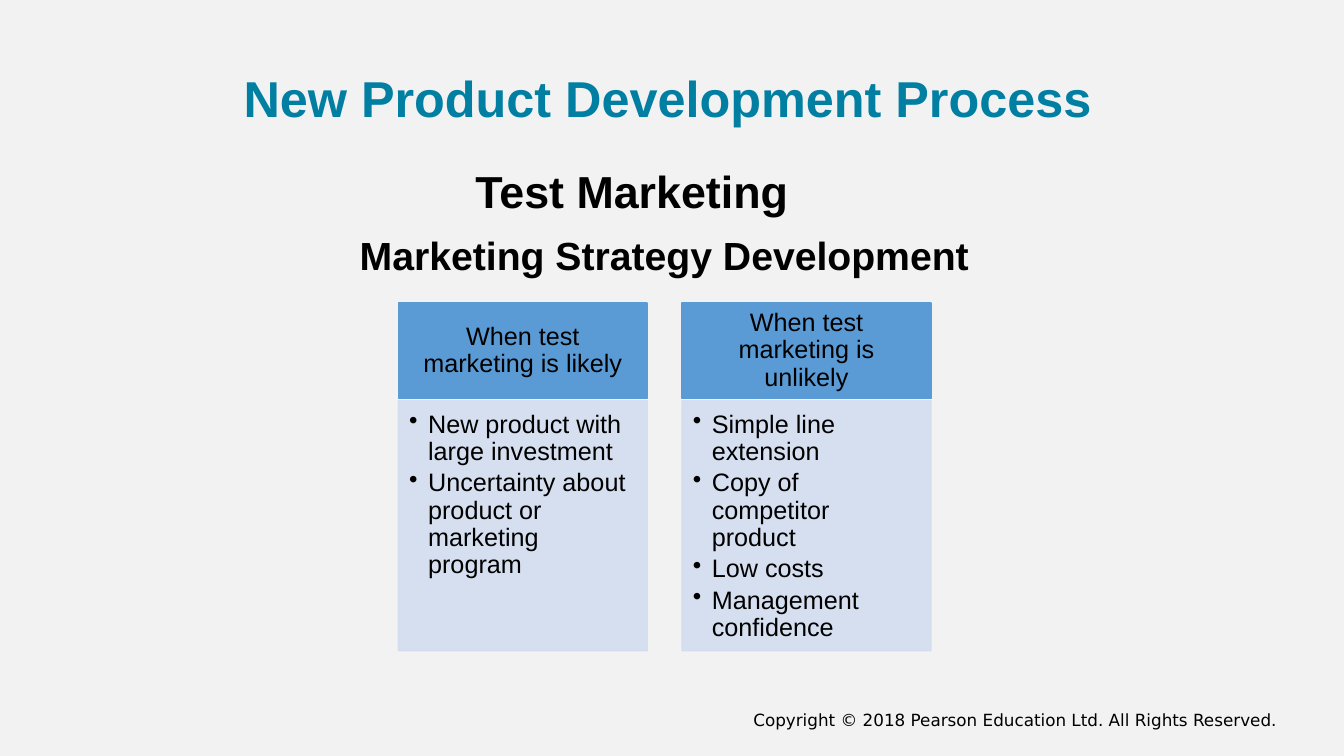
import pptx
import pptx.util
import pptx.dml.color
import pptx.enum.shapes
import pptx.enum.text
from dataclasses import dataclass
from lxml import etree

Cm, Pt = pptx.util.Cm, pptx.util.Pt
Align = pptx.enum.text.PP_ALIGN
Anchor = pptx.enum.text.MSO_ANCHOR
RECT = pptx.enum.shapes.MSO_SHAPE.RECTANGLE


@dataclass(frozen=True)
class Theme:
    back: str = "F2F2F2"
    teal: str = "007FA3"
    ink: str = "000000"
    head: str = "5B9BD5"
    panel: str = "D2DEEF"
    font: str = "Arial"
    small: str = "DejaVu Sans"
    title: int = 36
    topic: int = 32
    theme: int = 28
    body: int = 18
    foot: int = 12


def rgb(code):
    return pptx.dml.color.RGBColor.from_string(code)


def apply(target, values):
    for name, value in values.items():
        setattr(target, name, value)


class Deck:
    def __init__(self, look):
        self.look = look
        self.show = pptx.Presentation()
        self.show.slide_width, self.show.slide_height = Cm(33.87), Cm(19.05)
        self.slide = self.show.slides.add_slide(self.show.slide_layouts[5])
        fill = self.slide.background.fill
        fill.solid()
        fill.fore_color.rgb = rgb(look.back)

    def label(self, shape, lines, size, tone=None, face=None, bold=False,
              align=Align.CENTER, anchor=Anchor.TOP, pad=(0.25, 0.13, 0.25, 0.13),
              gap=0, pitch=0.9, mark=False):
        frame = shape.text_frame
        sides = ("margin_left", "margin_top", "margin_right", "margin_bottom")
        apply(frame, dict(zip(sides, map(Cm, pad))))
        apply(frame, {"word_wrap": True, "vertical_anchor": anchor,
                      "auto_size": pptx.enum.text.MSO_AUTO_SIZE.NONE})
        for i, line in enumerate(lines):
            para = frame.add_paragraph() if i else frame.paragraphs[0]
            apply(para, {"alignment": align, "line_spacing": pitch,
                         "space_before": Pt(0), "space_after": Pt(gap)})
            if mark:
                self.mark(para)
            run = para.add_run()
            run.text = line
            apply(run.font, {"name": face or self.look.font, "size": Pt(size),
                             "bold": bold})
            run.font.color.rgb = rgb(tone or self.look.ink)

    def mark(self, para):
        props = para._p.get_or_add_pPr()
        props.set("marL", str(Cm(0.48)))
        props.set("indent", str(-Cm(0.48)))
        dot = etree.SubElement(props, pptx.oxml.ns.qn("a:buChar"))
        dot.set("char", "•")

    def title(self, box, line):
        shape = self.slide.shapes.title
        apply(shape, dict(zip(("left", "top", "width", "height"), map(Cm, box))))
        self.label(shape, [line], self.look.title, tone=self.look.teal,
                   bold=True, anchor=Anchor.MIDDLE)

    def text(self, box, line, size, **style):
        shape = self.slide.shapes.add_textbox(*map(Cm, box))
        self.label(shape, [line], size, **style)

    def block(self, box, tone, lines, alpha=None, **style):
        shape = self.slide.shapes.add_shape(RECT, *map(Cm, box))
        shape.shadow.inherit = False
        shape.fill.solid()
        shape.line.fill.solid()
        shape.line.width = Pt(1)
        for paint in (shape.fill, shape.line.fill):
            paint.fore_color.rgb = rgb(tone)
        if alpha:
            for hue in shape._element.spPr.iter(pptx.oxml.ns.qn("a:srgbClr")):
                etree.SubElement(hue, pptx.oxml.ns.qn("a:alpha")).set(
                    "val", str(alpha * 1000))
        self.label(shape, lines, self.look.body, **style)

    def save(self):
        self.show.save("out.pptx")


def main():
    look = Theme()
    deck = Deck(look)

    # Headings
    deck.title((2.9, 1.55, 27.86, 2), "New Product Development Process")
    deck.text((5.46, 4.14, 20.93, 1.7), "Test Marketing", look.topic, bold=True)
    deck.text((2.72, 5.94, 28.04, 1.7), "Marketing Strategy Development",
              look.theme, bold=True, pitch=0.8)

    # Two columns, each a header over a list
    cases = {
        "When test marketing is likely": [
            "New product with large investment",
            "Uncertainty about product or marketing program"],
        "When test marketing is unlikely": [
            "Simple line extension", "Copy of competitor product",
            "Low costs", "Management confidence"],
    }
    wide, step = 6.27, 7.15
    for i, (head, points) in enumerate(cases.items()):
        left = 10.04 + i * step
        deck.block((left, 7.64, wide, 2.4), look.head, [head],
                   anchor=Anchor.MIDDLE, pad=(0.36, 0.2, 0.36, 0.2))
        deck.block((left, 10.1, wide, 6.3), look.panel, points, alpha=90,
                   align=Align.LEFT, pad=(0.27, 0.27, 0.36, 0.41),
                   gap=3, mark=True)

    # Footer
    deck.text((13.31, 17.75, 19.13, 1.02),
              "Copyright © 2018 Pearson Education Ltd. All Rights Reserved.",
              look.foot, face=look.small, align=Align.RIGHT, pitch=1.0)
    deck.save()


if __name__ == "__main__":
    main()
